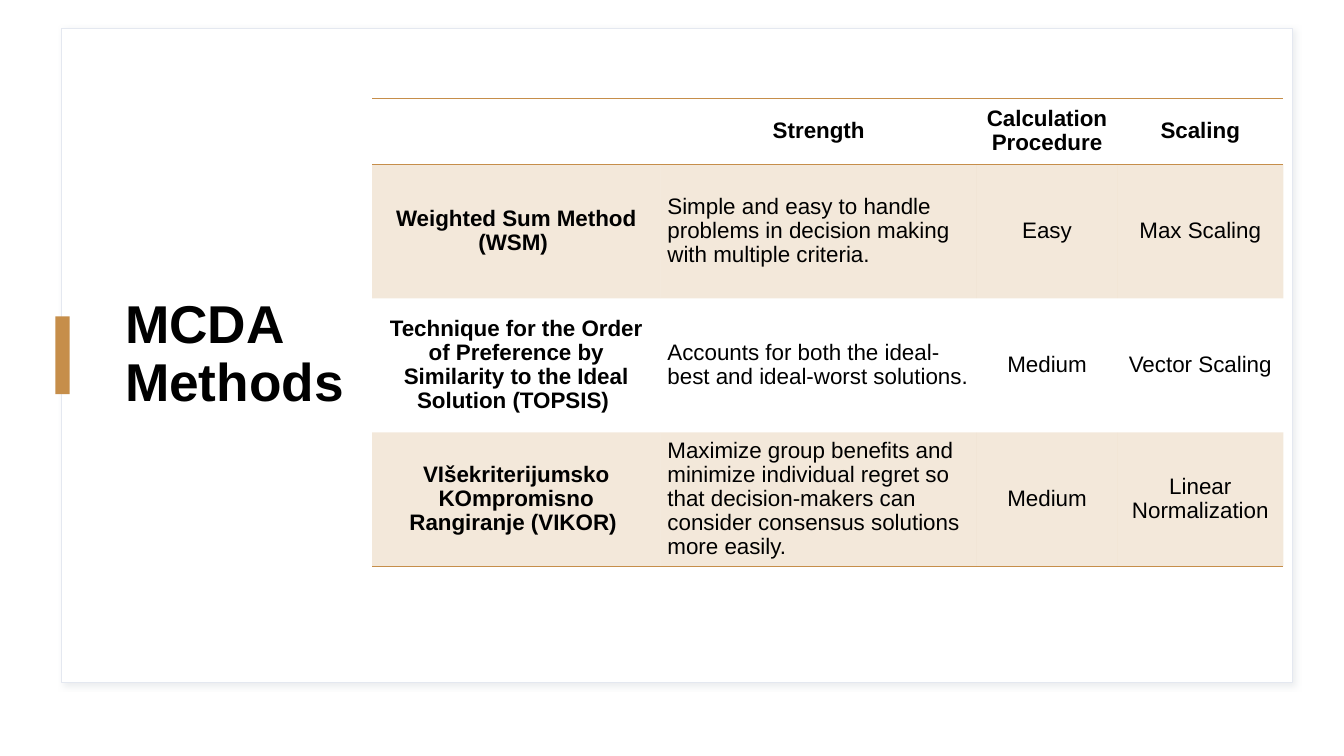
from dataclasses import dataclass

from lxml import etree
from pptx import Presentation
from pptx.dml.color import RGBColor
from pptx.enum.shapes import MSO_SHAPE
from pptx.enum.text import MSO_ANCHOR, PP_ALIGN
from pptx.oxml import parse_xml
from pptx.oxml.ns import nsdecls, qn
from pptx.util import Inches, Pt

RECT = MSO_SHAPE.RECTANGLE
MIDDLE = MSO_ANCHOR.MIDDLE
LEFT, CENTER = PP_ALIGN.LEFT, PP_ALIGN.CENTER
NO_GRID = "{2D5ABB26-0587-4C30-8999-92F81FD0307C}"


@dataclass(frozen=True)
class Theme:
    font: str = "Arial"
    ink: str = "000000"
    paper: str = "FFFFFF"
    frame: str = "E4E8F0"
    shade: str = "BCC3CA"
    accent: str = "C68E4A"
    tint: int = 20
    title: int = 38
    body: int = 16


THEME = Theme()
COLS = [2.86, 3.14, 1.39, 1.65]
ROWS = [0.65] + [1.33] * 3
METHODS = [
    ["", "Strength", "Calculation Procedure", "Scaling"],
    ["Weighted Sum Method (WSM) ",
     "Simple and easy to handle problems in decision making with multiple criteria.",
     "Easy", "Max Scaling"],
    ["Technique for the Order of Preference by Similarity to the Ideal Solution (TOPSIS) ",
     "Accounts for both the ideal-best and ideal-worst solutions.",
     "Medium", "Vector Scaling"],
    ["VIšekriterijumsko KOmpromisno Rangiranje (VIKOR) ",
     "Maximize group benefits and minimize individual regret so that "
     "decision-makers can consider consensus solutions more easily.",
     "Medium", "Linear Normalization"],
]


def color(name):
    return RGBColor.from_string(name)


def box(*lengths):
    return [Inches(n) for n in lengths]


def apply(item, **values):
    for name, value in values.items():
        setattr(item, name, value)


def style(frame, size, bold, align, space):
    for para in frame.paragraphs:
        apply(para, alignment=align, line_spacing=space)
        for run in para.runs:
            apply(run.font, name=THEME.font, size=Pt(size), bold=bold)
            run.font.color.rgb = color(THEME.ink)


def add_rect(slide, place, fill, line=None):
    rect = slide.shapes.add_shape(RECT, *box(*place))
    rect.shadow.inherit = False
    rect.fill.solid()
    rect.fill.fore_color.rgb = color(fill)
    if line:
        rect.line.color.rgb = color(line)
        rect.line.width = Pt(1)
    else:
        rect.line.fill.background()
    return rect


def add_shadow(shape):
    effects = shape._element.spPr.find(qn("a:effectLst"))
    effects.append(parse_xml(
        f'<a:outerShdw {nsdecls("a")} blurRad="{Pt(4)}" dist="{Pt(3)}" '
        f'dir="2700000" algn="tl" rotWithShape="0"><a:srgbClr val="{THEME.shade}">'
        '<a:alpha val="30000"/></a:srgbClr></a:outerShdw>'))


def set_title(slide, text, place):
    title = slide.shapes.title
    apply(title, **dict(zip(("left", "top", "width", "height"), box(*place))))
    title.text_frame.text = text
    apply(title.text_frame, word_wrap=True, vertical_anchor=MIDDLE)
    style(title.text_frame, THEME.title, True, LEFT, 0.9)


def tint(cell):
    cell.fill.solid()
    cell.fill.fore_color.rgb = color(THEME.accent)
    shade = cell._tc.tcPr.find(".//" + qn("a:srgbClr"))
    etree.SubElement(shade, qn("a:alpha"), val=str(THEME.tint * 1000))


def add_rules(cell, sides):
    """Draw accent borders; sides are in schema order, such as "TB"."""
    for spot, side in enumerate(sides):
        cell._tc.get_or_add_tcPr().insert(spot, parse_xml(
            f'<a:ln{side} {nsdecls("a")} w="{Pt(1)}"><a:solidFill>'
            f'<a:srgbClr val="{THEME.accent}"/></a:solidFill></a:ln{side}>'))


def add_methods(slide, left, top):
    table = slide.shapes.add_table(
        len(ROWS), len(COLS), *box(left, top, sum(COLS), sum(ROWS))).table
    apply(table, first_row=False, horz_banding=False)
    table._tbl.tblPr.find(qn("a:tableStyleId")).text = NO_GRID
    for col, width in zip(table.columns, COLS):
        col.width = Inches(width)
    for row, height in zip(table.rows, ROWS):
        row.height = Inches(height)
    rules = {0: "TB", len(ROWS) - 1: "B"}
    for r, texts in enumerate(METHODS):
        for c, text in enumerate(texts):
            cell = table.cell(r, c)
            cell.text = text
            apply(cell, vertical_anchor=MIDDLE, margin_left=Inches(0.07),
                  margin_right=Inches(0.07), margin_top=0, margin_bottom=0)
            align = LEFT if r and c == 1 else CENTER
            style(cell.text_frame, THEME.body, r == 0 or c == 0, align, 0.96)
            if r % 2:
                tint(cell)
            else:
                cell.fill.background()
            add_rules(cell, rules.get(r, ""))


def main():
    deck = Presentation()
    apply(deck, slide_width=Inches(13.33), slide_height=Inches(7.5))
    slide = deck.slides.add_slide(deck.slide_layouts[5])
    panel = add_rect(slide, (0.61, 0.28, 12.21, 6.49), THEME.paper, THEME.frame)
    add_shadow(panel)
    set_title(slide, "MCDA Methods", (1.14, 0.55, 3.27, 5.95))
    panel._element.addnext(slide.shapes.title._element)
    add_rect(slide, (0.55, 3.14, 0.14, 0.77), THEME.accent)
    add_methods(slide, 3.69, 0.98)
    deck.save("out.pptx")


if __name__ == "__main__":
    main()
